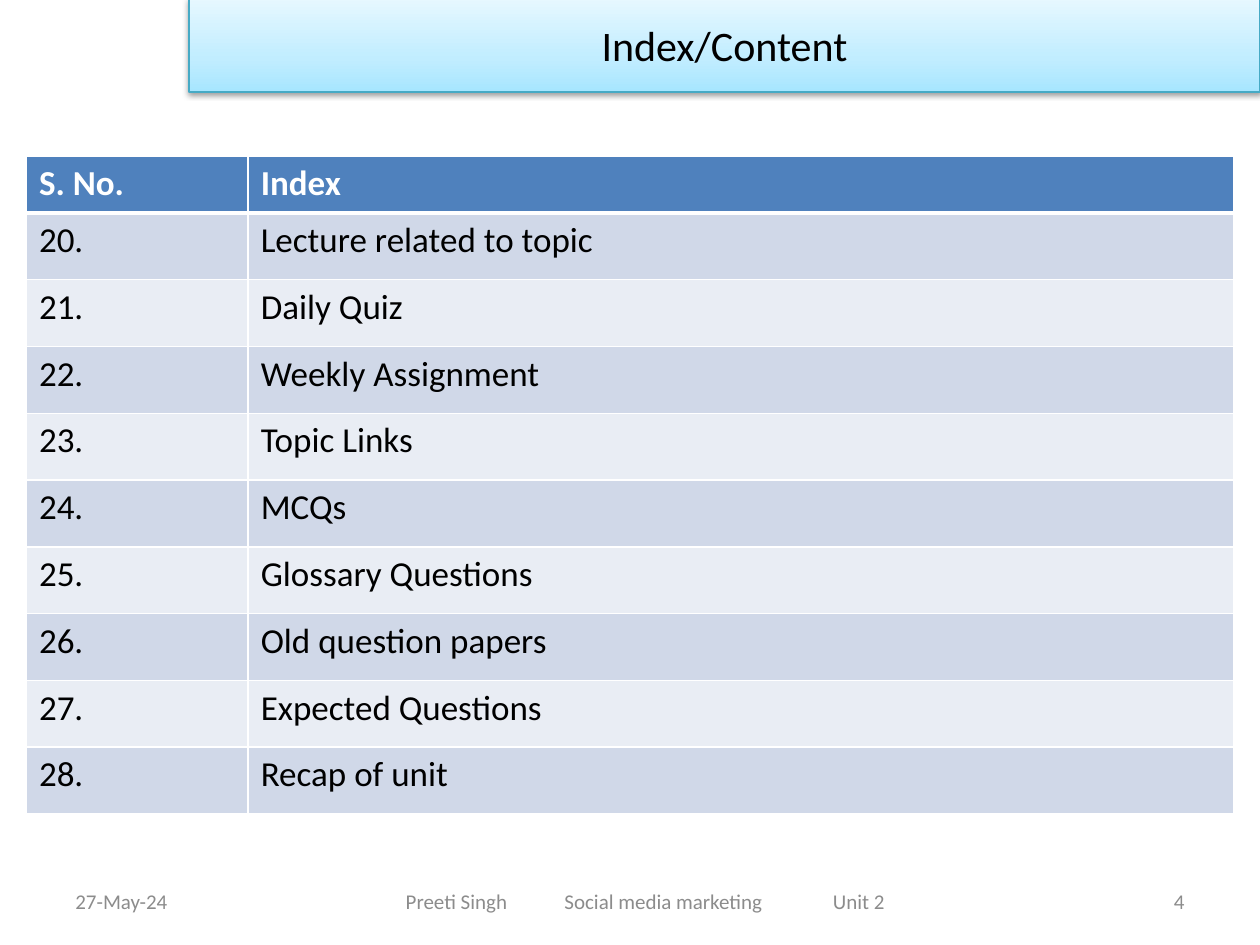
"""Build the Index/Content slide with its table, title banner and footer."""
from lxml.etree import SubElement
from pptx import Presentation
from pptx.dml.color import RGBColor
from pptx.enum.text import MSO_ANCHOR, PP_ALIGN
from pptx.oxml import parse_xml
from pptx.oxml.ns import nsdecls, qn
from pptx.util import Inches, Pt


def rgb(value):
    return RGBColor.from_string(value)


def add_text(frame, text, size, color, align=PP_ALIGN.LEFT, bold=False):
    paragraph = frame.paragraphs[0]
    paragraph.alignment = align
    run = paragraph.add_run()
    run.text = text
    run.font.name = "Calibri"
    run.font.size = Pt(size)
    run.font.bold = bold
    run.font.color.rgb = rgb(color)
    return paragraph


prs = Presentation()
prs.slide_width, prs.slide_height = Inches(10), Inches(7.5)
slide = prs.slides.add_slide(prs.slide_layouts[5])

banner = slide.shapes.title
banner.left, banner.top = Inches(1.5), Inches(-0.02)
banner.width, banner.height = Inches(8.5), Inches(0.75)
banner.text_frame.vertical_anchor = MSO_ANCHOR.MIDDLE
add_text(banner.text_frame, "Index/Content", 24, "000000", PP_ALIGN.CENTER)
stops = "".join(
    f'<a:gs pos="{percent * 1000}"><a:srgbClr val="{color}"/></a:gs>'
    for percent, color in [(0, "A7E6FF"), (35, "C1EDFF"), (100, "E7F8FF")]
)
banner_properties = banner.element.spPr
banner_properties.append(parse_xml(
    f'<a:gradFill {nsdecls("a")} rotWithShape="1"><a:gsLst>{stops}</a:gsLst>'
    '<a:lin ang="16200000" scaled="1"/></a:gradFill>'
))
banner.line.color.rgb = rgb("46AAC5")
banner.line.width = Pt(0.75)
banner_properties.append(parse_xml(
    f'<a:effectLst {nsdecls("a")}><a:outerShdw blurRad="{Pt(3.1)}" dist="{Pt(1.6)}" '
    'dir="5400000" rotWithShape="0"><a:srgbClr val="000000"><a:alpha val="38000"/>'
    '</a:srgbClr></a:outerShdw></a:effectLst>'
))

topics = [
    "Lecture related to topic", "Daily Quiz", "Weekly Assignment",
    "Topic Links", "MCQs", "Glossary Questions", "Old question papers",
    "Expected Questions", "Recap of unit",
]
entries = [("S. No.", "Index")]
entries += [(f"{number}.", topic) for number, topic in enumerate(topics, 20)]
index = slide.shapes.add_table(
    len(entries), 2, Inches(0.21), Inches(1.24), Inches(9.58), Inches(5.21)
).table
for column, width in zip(index.columns, (1.76, 7.82)):
    column.width = Inches(width)

for row, entry in enumerate(entries):
    header = row == 0
    index.rows[row].height = Inches(0.45 if header else 0.53)
    fill = "4F81BD" if header else ("E9EDF4", "D0D8E8")[row % 2]
    edges = {"L": 1, "R": 1, "T": 3 if row == 1 else 1, "B": 3 if header else 1}
    for column, text in enumerate(entry):
        cell = index.cell(row, column)
        add_text(cell.text_frame, text, 20, "FFFFFF" if header else "000000", bold=header)
        cell_properties = cell._tc.get_or_add_tcPr()
        for side, weight in edges.items():
            edge = SubElement(cell_properties, qn(f"a:ln{side}"), w=str(Pt(weight)))
            SubElement(SubElement(edge, qn("a:solidFill")), qn("a:srgbClr"), val="FFFFFF")
        cell.fill.solid()
        cell.fill.fore_color.rgb = rgb(fill)

footers = [
    ("27-May-24", 0.5, 2.33, 0.1, PP_ALIGN.LEFT),
    ("Preeti Singh\tSocial media marketing\tUnit 2", 1.67, 6.92, 1.55, PP_ALIGN.LEFT),
    ("4", 7.17, 2.33, 0.1, PP_ALIGN.RIGHT),
]
for text, left, width, inset, align in footers:
    frame = slide.shapes.add_textbox(
        Inches(left), Inches(6.95), Inches(width), Inches(0.4)
    ).text_frame
    frame.word_wrap = True
    frame.vertical_anchor = MSO_ANCHOR.MIDDLE
    frame.margin_left = Inches(inset)
    paragraph = add_text(frame, text, 12, "8C8C8C", align)
    if "\t" in text:
        tabs = SubElement(paragraph._p.get_or_add_pPr(), qn("a:tabLst"))
        for position in (1.26, 3.39):
            SubElement(tabs, qn("a:tab"), pos=str(Inches(position)), algn="l")

prs.save("out.pptx")
